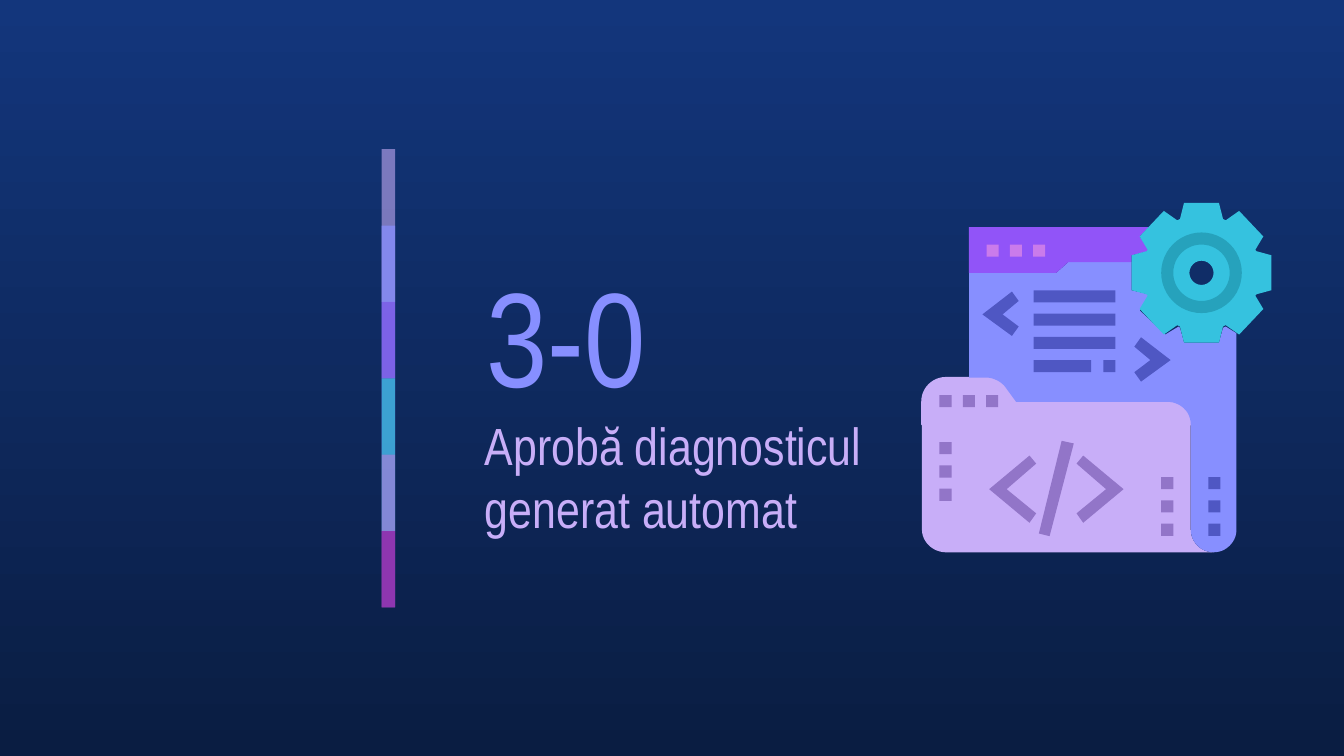
from math import cos, pi, sin

from lxml.etree import SubElement
from pptx import Presentation
from pptx.dml.color import RGBColor
from pptx.enum.shapes import MSO_SHAPE
from pptx.enum.text import MSO_ANCHOR
from pptx.oxml.ns import qn
from pptx.util import Inches, Pt

NAVY = RGBColor(0x13, 0x36, 0x7C)
MIDNIGHT = RGBColor(0x0A, 0x1D, 0x42)
LILAC = RGBColor(0xC8, 0xAE, 0xF8)
PERIWINKLE = RGBColor(0x87, 0x8F, 0xFF)
VIOLET = RGBColor(0x91, 0x54, 0xF8)
CYAN = RGBColor(0x35, 0xC2, 0xDF)
TEAL = RGBColor(0x26, 0xA2, 0xBC)
ORCHID = RGBColor(0xCA, 0x7B, 0xEB)
MAGENTA = RGBColor(0x97, 0x2C, 0xB4)
MAUVE = RGBColor(0x92, 0x75, 0xC8)
INDIGO = RGBColor(0x4F, 0x57, 0xC3)

# text, left, top, width, height, size, colour
TEXTS = [
    ("Aprobă diagnosticul generat automat", 3.51, 3.07, 3.05, 0.95, 28, LILAC),
    ("3-0", 3.52, 1.81, 1.75, 1.35, 72, PERIWINKLE),
]

# colour, opacity in percent
STRIPES = [(LILAC, 58), (PERIWINKLE, 73), (VIOLET, 53),
           (CYAN, 75), (ORCHID, 56), (MAGENTA, 74)]
STRIPE_LEFT, STRIPE_TOP, STRIPE_BOTTOM, STRIPE_WIDTH = 2.84, 1.11, 4.52, 0.1

# Outlines: two numbers are a corner, six are a Bezier curve.
FOLDER = [(6.86, 3.16), (6.86, 3.94), (6.86, 4.03, 6.94, 4.11, 7.04, 4.11),
          (9.03, 4.11), (8.93, 4.11, 8.86, 4.03, 8.86, 3.94), (8.86, 3.16)]
FOLDER_TAB = [(7.04, 2.81), (6.94, 2.81, 6.86, 2.89, 6.86, 2.99), (6.86, 3.16),
              (8.86, 3.16), (8.86, 3.06, 8.78, 2.99, 8.68, 2.99), (7.56, 2.99),
              (7.48, 2.88), (7.45, 2.84, 7.39, 2.81, 7.34, 2.81)]
SHEET = [(7.95, 1.95), (7.86, 2.03), (7.21, 2.03), (7.21, 2.81), (7.34, 2.81),
         (7.39, 2.81, 7.45, 2.84, 7.48, 2.88), (7.56, 2.99), (8.68, 2.99),
         (8.78, 2.99, 8.86, 3.06, 8.86, 3.16), (8.86, 3.94),
         (8.86, 4.03, 8.93, 4.11, 9.03, 4.11),
         (9.08, 4.11, 9.12, 4.09, 9.15, 4.06),
         (9.18, 4.03, 9.2, 3.99, 9.2, 3.94), (9.2, 2.48), (9.12, 2.43),
         (9.1, 2.44), (9.07, 2.55), (8.81, 2.55), (8.78, 2.44), (8.77, 2.43),
         (8.67, 2.49), (8.48, 2.31), (8.55, 2.21), (8.54, 2.19), (8.42, 2.16),
         (8.42, 1.95)]
HEADER = [(7.21, 1.69), (7.21, 2.03), (7.86, 2.03), (7.95, 1.95), (8.42, 1.95),
          (8.42, 1.9), (8.54, 1.87), (8.55, 1.86), (8.48, 1.76), (8.55, 1.69)]
SLASH = [(7.9, 3.28), (7.73, 3.97), (7.81, 3.99), (7.99, 3.3)]

GEAR_CENTRE = (8.94, 2.03)
GEAR_QUARTER = [(0.13, -0.52), (0.16, -0.4), (0.18, -0.39), (0.28, -0.46),
                (0.46, -0.27), (0.4, -0.17), (0.41, -0.16), (0.52, -0.13)]
HUB_RADIUS = 0.26
# outer radius, band width, colour
RINGS = [(HUB_RADIUS, 0.17, CYAN), (0.3, 0.09, TEAL)]

# tip x, tip y, direction, offsets from the tip, colour
SMALL_CHEVRON = [(0, 0), (0.22, 0.16), (0.27, 0.09),
                 (0.15, 0), (0.27, -0.1), (0.22, -0.17)]
LARGE_CHEVRON = [(0, 0), (0.3, 0.25), (0.35, 0.18),
                 (0.13, 0), (0.35, -0.19), (0.3, -0.25)]
CHEVRONS = [(7.31, 2.34, 1, SMALL_CHEVRON, INDIGO),
            (8.71, 2.68, -1, SMALL_CHEVRON, INDIGO),
            (7.36, 3.64, 1, LARGE_CHEVRON, MAUVE),
            (8.36, 3.64, -1, LARGE_CHEVRON, MAUVE)]

DOT, DOT_STEP = 0.09, 0.52 / 3
# left, top, step across, step down, colour
DOT_ROWS = [(7.34, 1.82, DOT_STEP, 0, ORCHID), (6.99, 2.94, DOT_STEP, 0, MAUVE),
            (6.99, 3.29, 0, DOT_STEP, MAUVE), (8.64, 3.55, 0, DOT_STEP, MAUVE),
            (8.99, 3.55, 0, DOT_STEP, INDIGO)]
CODE_LEFT, CODE_TOP = 7.69, 2.16
CODE_WIDTHS = [0.61, 0.61, 0.61, 0.43]


def paint(shape, colour):
    shape.shadow.inherit = False
    shape.fill.solid()
    shape.fill.fore_color.rgb = colour
    shape.line.fill.background()
    return shape


def add_preset(page, kind, left, top, width, height, colour):
    shape = page.shapes.add_shape(
        kind, Inches(left), Inches(top), Inches(width), Inches(height))
    return paint(shape, colour)


def flatten(outline, steps=12):
    """Turn corners and Bezier curves into a list of points."""
    points = []
    for part in outline:
        if len(part) == 2:
            points.append(part)
            continue
        knots = [points[-1], part[:2], part[2:4], part[4:]]
        for step in range(1, steps + 1):
            t = step / steps
            weights = ((1 - t) ** 3, 3 * t * (1 - t) ** 2, 3 * t * t * (1 - t), t ** 3)
            points.append(tuple(
                sum(weight * knot[axis] for weight, knot in zip(weights, knots))
                for axis in (0, 1)))
    return points


def add_outline(page, colour, *outlines):
    """Draw one shape; every outline after the first cuts a hole."""
    builder = None
    for outline in outlines:
        points = [(Inches(x), Inches(y)) for x, y in flatten(outline)]
        if builder is None:
            builder = page.shapes.build_freeform(*points[0], scale=1.0)
        else:
            builder.move_to(*points[0])
        builder.add_line_segments(points[1:], close=True)
    return paint(builder.convert_to_shape(), colour)


def add_stripes(page):
    """Stack see-through bars, each reaching under the next one."""
    step = (STRIPE_BOTTOM - STRIPE_TOP) / len(STRIPES)
    for index, (colour, opacity) in enumerate(STRIPES):
        top = STRIPE_TOP + index * step
        height = min(2 * step, STRIPE_BOTTOM - top)
        stripe = add_preset(page, MSO_SHAPE.RECTANGLE, STRIPE_LEFT, top,
                            STRIPE_WIDTH, height, colour)
        tint = stripe.fill._xPr.find(qn("a:solidFill"))[0]
        SubElement(tint, qn("a:alpha")).set("val", str(opacity * 1000))


def add_gear(page):
    centre_x, centre_y = GEAR_CENTRE
    rim = []
    for sign_x, sign_y in [(1, 1), (1, -1), (-1, -1), (-1, 1)]:
        quarter = GEAR_QUARTER if sign_x == sign_y else GEAR_QUARTER[::-1]
        rim += [(centre_x + sign_x * x, centre_y + sign_y * y) for x, y in quarter]
    hole = [(centre_x + HUB_RADIUS * cos(k * pi / 30),
             centre_y - HUB_RADIUS * sin(k * pi / 30)) for k in range(60)]
    add_outline(page, CYAN, rim, hole)
    for radius, band, colour in RINGS:
        ring = add_preset(page, MSO_SHAPE.DONUT, centre_x - radius, centre_y - radius,
                          2 * radius, 2 * radius, colour)
        ring.adjustments[0] = band / (2 * radius)


def add_code_marks(page):
    for left, top, across, down, colour in DOT_ROWS:
        for index in range(3):
            add_preset(page, MSO_SHAPE.RECTANGLE, left + index * across,
                       top + index * down, DOT, DOT, colour)
    for index, width in enumerate(CODE_WIDTHS):
        add_preset(page, MSO_SHAPE.RECTANGLE, CODE_LEFT, CODE_TOP + index * DOT_STEP,
                   width, DOT, INDIGO)
    add_preset(page, MSO_SHAPE.RECTANGLE, CODE_LEFT + 3 * DOT_STEP,
               CODE_TOP + 3 * DOT_STEP, DOT, DOT, INDIGO)
    for tip_x, tip_y, direction, offsets, colour in CHEVRONS:
        add_outline(page, colour, [(tip_x + direction * x, tip_y + y) for x, y in offsets])
    add_outline(page, MAUVE, SLASH)


def add_text(page, text, left, top, width, height, size, colour):
    box = page.shapes.add_textbox(Inches(left), Inches(top), Inches(width), Inches(height))
    frame = box.text_frame
    frame.word_wrap = True
    frame.vertical_anchor = MSO_ANCHOR.MIDDLE
    frame.margin_left = frame.margin_right = Inches(0.1)
    frame.margin_top = frame.margin_bottom = Inches(0.1)
    frame.text = text
    font = frame.paragraphs[0].runs[0].font
    font.name, font.size, font.color.rgb = "Arial Narrow", Pt(size), colour


def main():
    deck = Presentation()
    deck.slide_width = Inches(10)
    deck.slide_height = deck.slide_width * 9 // 16
    page = deck.slides.add_slide(deck.slide_layouts[6])
    backdrop = page.background.fill
    backdrop.gradient()
    backdrop.gradient_angle = 270
    for stop, position, colour in zip(backdrop.gradient_stops, (0, 1), (NAVY, MIDNIGHT)):
        stop.position, stop.color.rgb = position, colour

    add_stripes(page)
    add_outline(page, LILAC, FOLDER)
    tab = add_outline(page, LILAC, FOLDER_TAB)
    tab.line.color.rgb, tab.line.width = LILAC, Pt(0.75)
    add_outline(page, PERIWINKLE, SHEET)
    add_outline(page, VIOLET, HEADER)
    add_gear(page)
    add_code_marks(page)
    for entry in TEXTS:
        add_text(page, *entry)
    deck.save("out.pptx")


if __name__ == "__main__":
    main()
